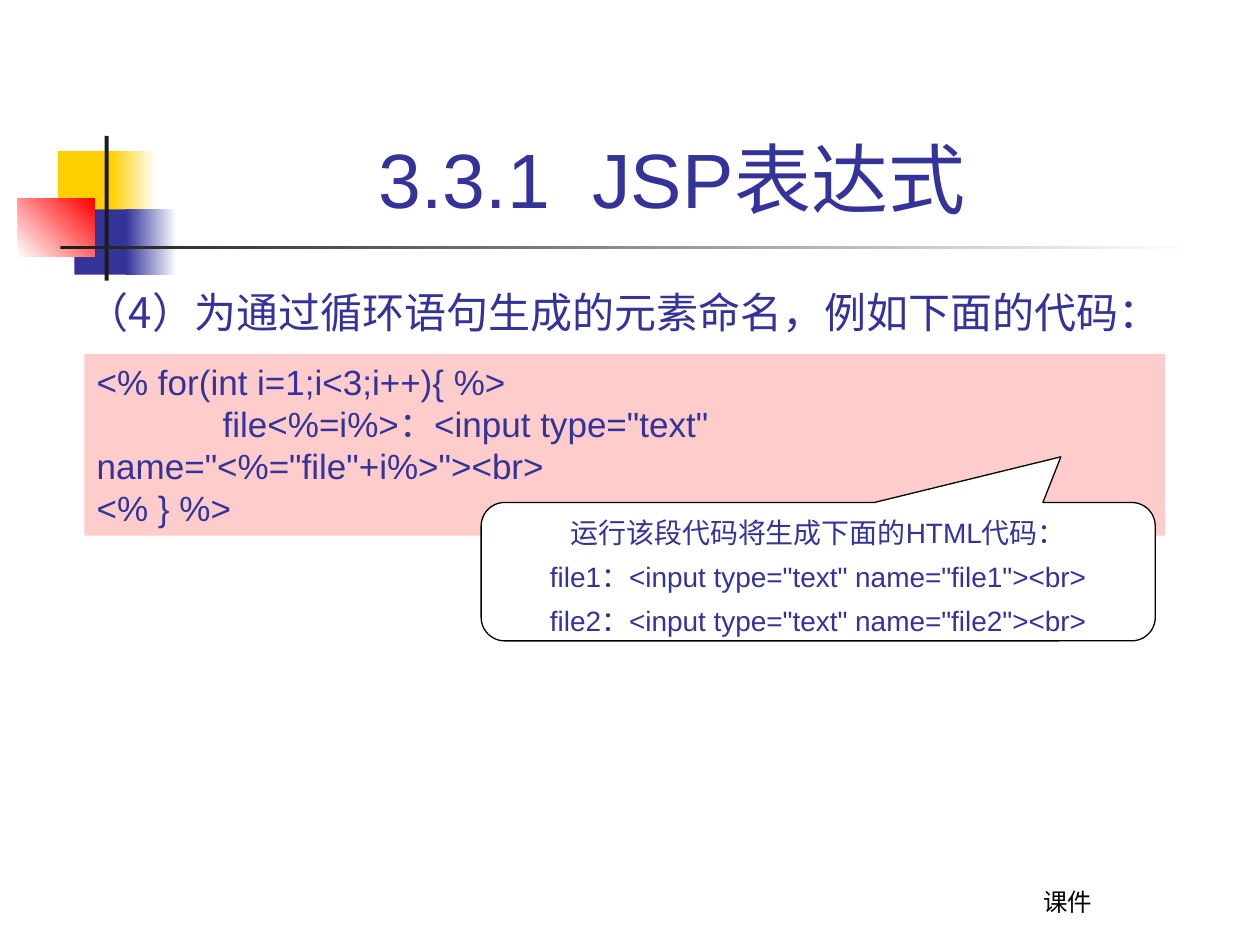
from lxml import etree
from pptx import Presentation
from pptx import util as u
from pptx.dml.color import RGBColor
from pptx.enum import shapes, text
from pptx.oxml.ns import qn

Cm = u.Cm
KIND = shapes.MSO_SHAPE
LEFT, MID = text.PP_ALIGN.LEFT, text.PP_ALIGN.CENTER
TOP, LOW = text.MSO_ANCHOR.TOP, text.MSO_ANCHOR.BOTTOM
NAVY, GOLD, DARK = "333399", "FFCF01", "1C1C1C"
WHITE, RED, PINK, BLACK = "FFFFFF", "FF0000", "FFCCCC", "000000"


def tint(color, value):
    color.rgb = RGBColor.from_string(value)


def write(box, lines, size, face="Arial", hue=NAVY, align=LEFT, anchor=TOP, gap=0):
    frame = box.text_frame
    frame.word_wrap = True
    frame.vertical_anchor = anchor
    for i, line in enumerate(lines):
        para = frame.paragraphs[0] if i == 0 else frame.add_paragraph()
        para.add_run().text = line
        para.alignment = align
        para.space_before = u.Pt(gap if i else 0)
        if "\t" in line:
            tabs = etree.SubElement(para._p.get_or_add_pPr(), qn("a:tabLst"))
            etree.SubElement(tabs, qn("a:tab"), pos=str(Cm(2.54)), algn="l")
        para.font.size = u.Pt(size)
        para.font.name = face
        tint(para.font.color, hue)


prs = Presentation()
prs.slide_width, prs.slide_height = Cm(25.4), Cm(19.05)
slide = prs.slides.add_slide(prs.slide_layouts[6])
art = slide.shapes

# Corner ornament and rules: left, top, width, height, colours, angle
parts = [
    (1.17, 3.05, 1.22, 1.32, [GOLD], 0),
    (2.24, 3.05, 0.91, 1.32, [GOLD, WHITE], 0),
    (1.5, 4.22, 1.17, 1.32, [NAVY], 0),
    (2.54, 4.22, 1.02, 1.32, [NAVY, WHITE], 0),
    (0.36, 4.01, 1.55, 1.17, [WHITE, RED], 45),
    (2.11, 2.74, 0.08, 2.92, [DARK], 0),
    (1.22, 4.95, 22.86, 0.08, [DARK, WHITE], 0),
]
for *place, hues, angle in parts:
    block = art.add_shape(KIND.RECTANGLE, *map(Cm, place))
    block.shadow.inherit = False
    block.line.fill.background()
    if len(hues) == 1:
        block.fill.solid()
        tint(block.fill.fore_color, hues[0])
    else:
        block.fill.gradient()
        block.fill.gradient_angle = angle
        for stop, hue in zip(block.fill.gradient_stops, hues):
            tint(stop.color, hue)

# Footer
foot = art.add_textbox(Cm(17.5), Cm(17.32), Cm(8.05), Cm(1.27))
write(foot, ["课件"], 14, "Cabin", BLACK, MID, LOW)

# Lead sentence
lead = art.add_textbox(Cm(1.5), Cm(5.66), Cm(22.81), Cm(1.27))
write(lead, ["（4）为通过循环语句生成的元素命名，例如下面的代码："], 24, "Noto Sans CJK SC")

# Code panel
code = art.add_shape(KIND.RECTANGLE, Cm(1.7), Cm(7.14), Cm(21.79), Cm(3.66))
code.shadow.inherit = False
code.line.fill.background()
code.fill.solid()
tint(code.fill.fore_color, PINK)
write(code, [
    "<% for(int i=1;i<3;i++){ %>",
    '  \tfile<%=i%>：<input type="text" name="<%="file"+i%>"><br>',
    "<% } %>",
], 20)

# Callout with the generated markup
note = art.add_shape(KIND.ROUNDED_RECTANGULAR_CALLOUT, Cm(9.7), Cm(10.13), Cm(13.59), Cm(2.79))
note.shadow.inherit = False
for i, value in enumerate([0.36, -0.83, 0.17]):
    note.adjustments[i] = value
note.fill.solid()
tint(note.fill.fore_color, WHITE)
tint(note.line.color, BLACK)
note.line.width = u.Pt(0.75)
made = [f'file{n}：<input type="text" name="file{n}"><br>' for n in (1, 2)]
write(note, ["运行该段代码将生成下面的HTML代码："] + made, 16, align=MID, gap=6)

# Title
title = art.add_textbox(Cm(3.2), Cm(0.58), Cm(20.7), Cm(4.06))
write(title, ["3.3.1  JSP表达式"], 44, align=MID, anchor=LOW)

prs.save("out.pptx")
